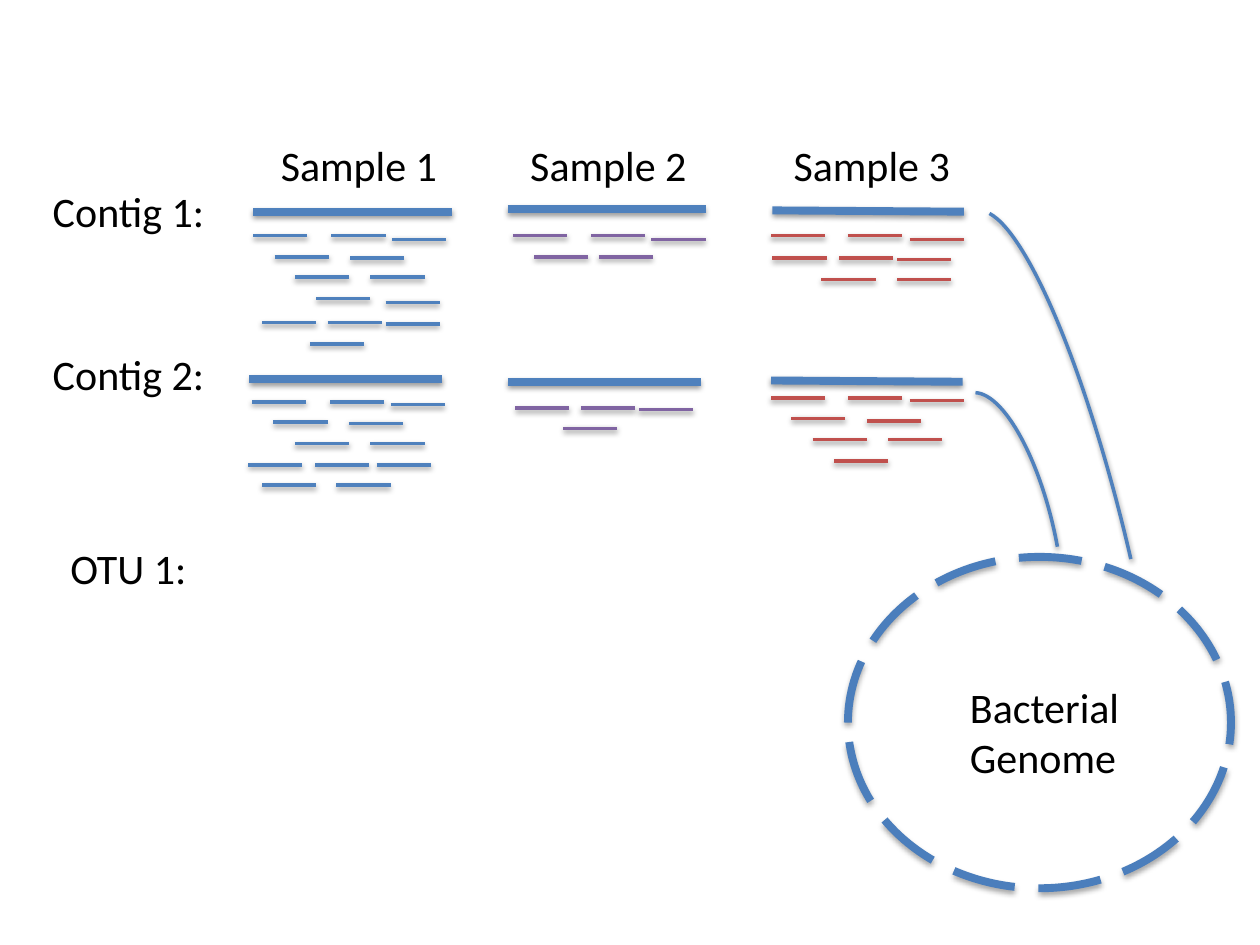
from dataclasses import dataclass

from lxml import etree
from pptx import Presentation
from pptx.dml.color import RGBColor
from pptx.enum.dml import MSO_LINE
from pptx.enum.shapes import MSO_CONNECTOR, MSO_SHAPE
from pptx.enum.text import MSO_AUTO_SIZE
from pptx.oxml.ns import qn
from pptx.util import Inches, Pt

STRAIGHT = MSO_CONNECTOR.STRAIGHT
ARC, OVAL = MSO_SHAPE.ARC, MSO_SHAPE.OVAL
LONG_DASH = MSO_LINE.LONG_DASH
FIT_TEXT = MSO_AUTO_SIZE.SHAPE_TO_FIT_TEXT


@dataclass(frozen=True)
class Theme:
    font: str = "Calibri"
    text_size: float = 24
    text: str = "000000"
    blue: str = "4F81BD"
    genome: str = "4B7EBC"
    purple: str = "8064A2"
    red: str = "C0504D"
    shadow: str = "000000"
    thick: float = 4.5
    thin: float = 2


class Diagram:
    def __init__(self, slide, theme):
        self.slide = slide
        self.theme = theme

    def style_line(self, shape, color, width, opacity=38, distance=1.6):
        shape.line.color.rgb = RGBColor.from_string(color)
        shape.line.width = Pt(width)
        # Soft shadow straight below the line
        properties = shape._element.spPr
        effects = etree.SubElement(properties, qn("a:effectLst"))
        shadow = etree.SubElement(
            effects, qn("a:outerShdw"), blurRad=str(Pt(3.1)),
            dist=str(Pt(distance)), dir="5400000", rotWithShape="0")
        tint = etree.SubElement(shadow, qn("a:srgbClr"), val=self.theme.shadow)
        etree.SubElement(tint, qn("a:alpha"), val=str(opacity * 1000))

    def line(self, x1, y1, x2, y2, color, width):
        connector = self.slide.shapes.add_connector(
            STRAIGHT, Inches(x1), Inches(y1), Inches(x2), Inches(y2))
        self.style_line(connector, color, width)

    def reads(self, rows, color):
        for y, starts in rows:
            for x in starts:
                self.line(x, y, x + READ_LENGTH, y, color, self.theme.thin)

    def outline(self, kind, left, top, width, height):
        shape = self.slide.shapes.add_shape(
            kind, Inches(left), Inches(top), Inches(width), Inches(height))
        shape.fill.background()
        return shape

    def genome(self, *box):
        circle = self.outline(OVAL, *box)
        circle.line.dash_style = LONG_DASH
        self.style_line(circle, self.theme.genome, self.theme.thick, 35, 1.8)

    def arc(self, box, start, end):
        arc = self.outline(ARC, *box)
        arc.adjustments[0] = start
        arc.adjustments[1] = end
        arc.rotation = 347
        self.style_line(arc, self.theme.blue, self.theme.thin)

    def label(self, left, top, width, height, *lines):
        box = self.slide.shapes.add_textbox(
            Inches(left), Inches(top), Inches(width), Inches(height))
        frame = box.text_frame
        frame.word_wrap = False
        frame.auto_size = FIT_TEXT
        for index, text in enumerate(lines):
            paragraph = frame.add_paragraph() if index else frame.paragraphs[0]
            run = paragraph.add_run()
            run.text = text
            run.font.name = self.theme.font
            run.font.size = Pt(self.theme.text_size)
            run.font.color.rgb = RGBColor.from_string(self.theme.text)


theme = Theme()
READ_LENGTH = 0.43

# Contig ends: x1, y1, x2, y2
CONTIGS = [
    (2.01, 1.68, 3.59, 1.68), (1.98, 3.01, 3.51, 3.01),
    (4.03, 1.66, 5.60, 1.66), (4.03, 3.03, 5.56, 3.03),
    (6.13, 1.67, 7.65, 1.68), (6.12, 3.02, 7.64, 3.03),
]

# Reads of each sample: height of a row, left ends in it
READS = {
    theme.blue: [
        (1.87, [2.01, 2.63]), (1.90, [3.11]), (2.04, [2.18]), (2.05, [2.78]),
        (2.20, [2.34, 2.94]), (2.37, [2.51]), (2.40, [3.06]),
        (2.56, [2.08, 2.60]), (2.57, [3.06]), (2.73, [2.46]),
        (3.19, [2.00, 2.62]), (3.21, [3.10]), (3.35, [2.17]), (3.36, [2.77]),
        (3.52, [2.34, 2.94]), (3.69, [1.97, 2.50, 2.99]),
        (3.85, [2.08, 2.67]),
    ],
    theme.purple: [
        (1.87, [4.07, 4.69]), (1.90, [5.17]), (2.04, [4.24, 4.75]),
        (3.24, [4.09, 4.61]), (3.25, [5.07]), (3.40, [4.47]),
    ],
    theme.red: [
        (1.87, [6.12, 6.73]), (1.90, [7.22]), (2.05, [6.13, 6.66]),
        (2.06, [7.12]), (2.22, [6.52, 7.12]),
        (3.16, [6.12, 6.73]), (3.18, [7.22]), (3.32, [6.28]), (3.34, [6.88]),
        (3.49, [6.45, 7.05]), (3.66, [6.62]),
    ],
}

presentation = Presentation()
presentation.slide_width = Inches(10)
presentation.slide_height = Inches(7.5)
slide = presentation.slides.add_slide(presentation.slide_layouts[6])
diagram = Diagram(slide, theme)

# Genome, contigs and reads
diagram.genome(6.73, 4.42, 3.04, 2.63)
for ends in CONTIGS:
    diagram.line(*ends, theme.blue, theme.thick)
for color, rows in READS.items():
    diagram.reads(rows, color)

# Row and column labels
for number, top in enumerate((1.42, 2.72), 1):
    diagram.label(0.32, top, 1.42, 0.5, f"Contig {number}:")
for number, left in enumerate((2.13, 4.11, 6.2), 1):
    diagram.label(left, 1.06, 1.45, 0.5, f"Sample {number}")
diagram.label(0.46, 4.26, 1.14, 0.5, "OTU 1:")

# Curves from the contigs to the genome
diagram.arc((7.85, 1.6, 1.14, 5.93), 163.1, 0)
diagram.arc((7.57, 3.09, 0.8, 2.36), 163.1, 13.4)
diagram.label(7.6, 5.36, 1.4, 0.91, "Bacterial", "Genome")

presentation.save("out.pptx")
